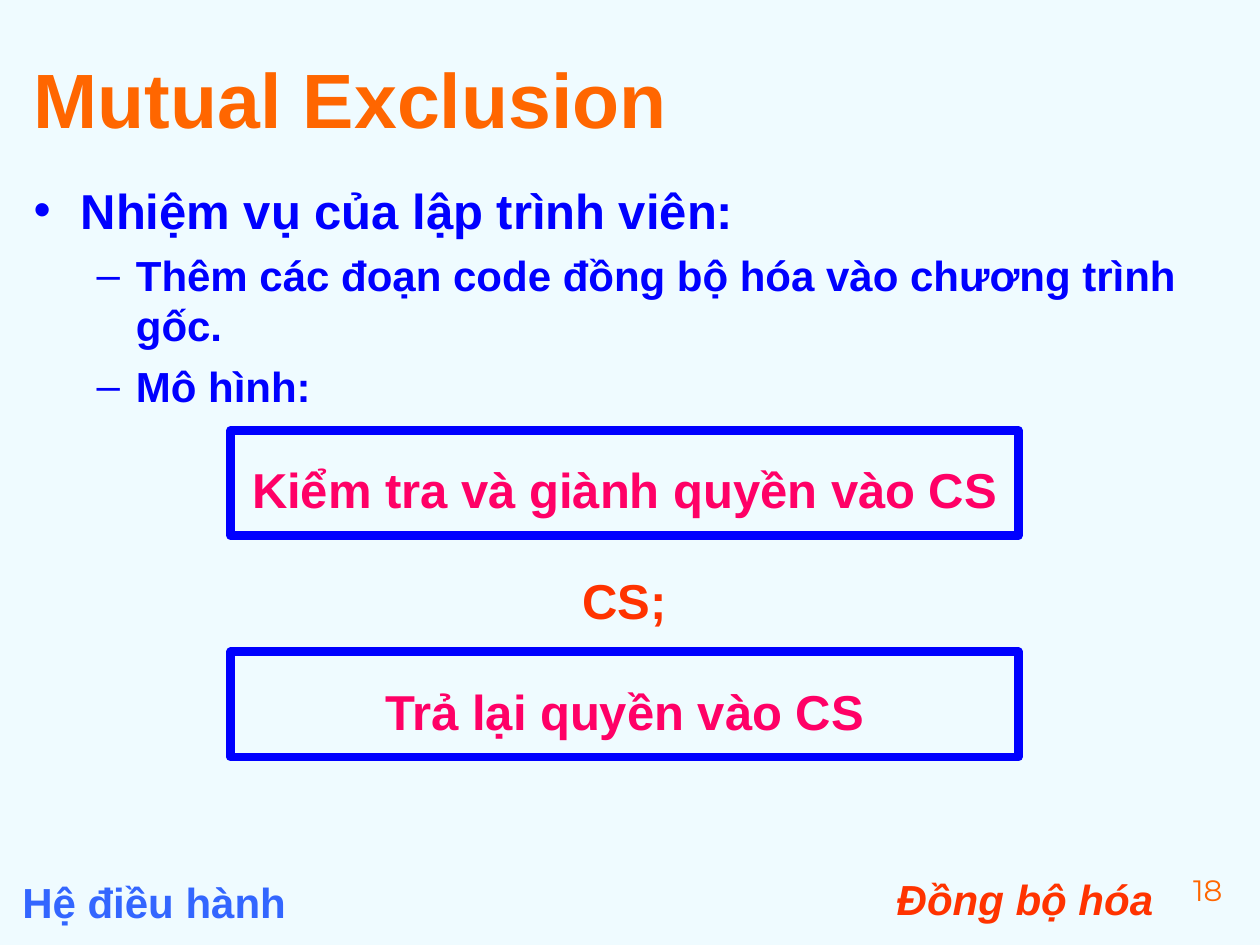
"""Build the Mutual Exclusion slide with its synchronization model."""
from dataclasses import dataclass
from typing import Any, Optional

import lxml.etree
import pptx
import pptx.dml.color
import pptx.enum.shapes
import pptx.enum.text
import pptx.oxml.ns
import pptx.util

Cm, Pt = pptx.util.Cm, pptx.util.Pt
ALIGN = pptx.enum.text.PP_ALIGN
ANCHOR = pptx.enum.text.MSO_ANCHOR
BLUE, ORANGE, RED, PINK, SKY = "0000FF", "FF6600", "FF3300", "FF0066", "3366FF"


@dataclass(frozen=True)
class Box:
    left: float
    top: float
    width: float
    height: float

    def lengths(self) -> tuple:
        return tuple(Cm(v) for v in (self.left, self.top, self.width, self.height))


@dataclass(frozen=True)
class Style:
    size: float
    color: str
    align: Any = ALIGN.LEFT
    name: str = "Arial"
    bold: bool = True
    italic: bool = False
    line_spacing: Optional[float] = None


@dataclass(frozen=True)
class Label:
    text: str
    box: Box
    style: Style


@dataclass(frozen=True)
class Bullet:
    text: str
    level: int
    size: float
    mark: str
    margin: float
    hanging: float
    space_before: float


@dataclass(frozen=True)
class Step:
    text: str
    color: str
    outlined: bool


LABELS = [
    Label("Đồng bộ hóa", Box(9.53, 17.48, 13.97, 1.32),
          Style(24, RED, ALIGN.RIGHT, italic=True)),
    Label("Hệ điều hành", Box(0.2, 17.53, 12.7, 0.89), Style(24, SKY)),
    Label("18", Box(23.5, 17.58, 1.7, 1.12),
          Style(16.8, ORANGE, ALIGN.CENTER, "Montserrat", False, line_spacing=0.8)),
]
BULLETS = [
    Bullet("Nhiệm vụ của lập trình viên:", 0, 28, "•", 0.95, 0.95, 0),
    Bullet("Thêm các đoạn code đồng bộ hóa vào chương trình gốc.",
           1, 24, "–", 2.06, 0.79, 6),
    Bullet("Mô hình:", 1, 24, "–", 2.06, 0.79, 6),
]
STEPS = [
    Step("Kiểm tra và giành quyền vào CS", PINK, True),
    Step("CS;", RED, False),
    Step("Trả lại quyền vào CS", PINK, True),
]
STEP_TOP, STEP_PITCH = 8.68, 2.23


def rgb(color: str) -> pptx.dml.color.RGBColor:
    """Turn a hex string into a colour."""
    return pptx.dml.color.RGBColor.from_string(color)


def apply(target: Any, values: dict) -> None:
    """Set every attribute named in the values."""
    for name, value in values.items():
        setattr(target, name, value)


def write(paragraph: Any, text: str, style: Style) -> None:
    """Put styled text into a paragraph."""
    run = paragraph.add_run()
    run.text = text
    apply(paragraph, {"alignment": style.align, "line_spacing": style.line_spacing})
    apply(run.font, {"name": style.name, "size": Pt(style.size),
                     "bold": style.bold, "italic": style.italic})
    run.font.color.rgb = rgb(style.color)


def frame_text(shape: Any, anchor: Any = ANCHOR.TOP, wrap: bool = True,
               margin_top: float = 0.13) -> Any:
    """Format the text frame of a shape and return it."""
    frame = shape.text_frame
    apply(frame, {"auto_size": pptx.enum.text.MSO_AUTO_SIZE.NONE, "word_wrap": wrap,
                  "vertical_anchor": anchor, "margin_top": Cm(margin_top),
                  "margin_bottom": Cm(0.13), "margin_left": Cm(0.25),
                  "margin_right": Cm(0.25)})
    return frame


def draw_label(slide: Any, label: Label) -> None:
    """Draw a one-line text box."""
    shape = slide.shapes.add_textbox(*label.box.lengths())
    write(frame_text(shape).paragraphs[0], label.text, label.style)


def draw_title(slide: Any, text: str, box: Box) -> None:
    """Place and format the title placeholder."""
    title = slide.shapes.title
    apply(title, dict(zip(("left", "top", "width", "height"), box.lengths())))
    write(frame_text(title, ANCHOR.MIDDLE).paragraphs[0], text, Style(44, ORANGE))


def add_mark(paragraph: Any, bullet: Bullet) -> None:
    """Give a paragraph its bullet and hanging indent."""
    properties = paragraph._p.get_or_add_pPr()
    properties.set("marL", str(Cm(bullet.margin)))
    properties.set("indent", str(-Cm(bullet.hanging)))
    qn = pptx.oxml.ns.qn
    color = lxml.etree.SubElement(properties, qn("a:buClr"))
    lxml.etree.SubElement(color, qn("a:srgbClr")).set("val", BLUE)
    lxml.etree.SubElement(properties, qn("a:buFont")).set("typeface", "Arial")
    lxml.etree.SubElement(properties, qn("a:buChar")).set("char", bullet.mark)


def draw_bullets(slide: Any, bullets: list[Bullet], box: Box) -> None:
    """Draw the bulleted body text."""
    frame = frame_text(slide.shapes.add_textbox(*box.lengths()))
    for index, bullet in enumerate(bullets):
        paragraph = frame.add_paragraph() if index else frame.paragraphs[0]
        add_mark(paragraph, bullet)
        apply(paragraph, {"level": bullet.level, "space_before": Pt(bullet.space_before)})
        write(paragraph, bullet.text, Style(bullet.size, BLUE))


def draw_step(slide: Any, step: Step, box: Box) -> None:
    """Draw one step of the model, outlined or plain."""
    if step.outlined:
        rectangle = pptx.enum.shapes.MSO_SHAPE.RECTANGLE
        shape = slide.shapes.add_shape(rectangle, *box.lengths())
        shape.shadow.inherit = False
        shape.fill.background()
        shape.line.color.rgb = rgb(BLUE)
        shape.line.width = Pt(5)
    else:
        shape = slide.shapes.add_textbox(*box.lengths())
    frame = frame_text(shape, ANCHOR.MIDDLE, wrap=False, margin_top=0.38)
    write(frame.paragraphs[0], step.text, Style(28, step.color, ALIGN.CENTER))


def main() -> None:
    """Build and save the presentation."""
    presentation = pptx.Presentation()
    apply(presentation, {"slide_width": Cm(25.4), "slide_height": Cm(19.05)})
    slide = presentation.slides.add_slide(presentation.slide_layouts[5])
    slide.background.fill.solid()
    slide.background.fill.fore_color.rgb = rgb("EFFBFF")
    draw_title(slide, "Mutual Exclusion", Box(0.43, 0.76, 24.74, 2.41))
    draw_bullets(slide, BULLETS, Box(0.43, 3.5, 24.66, 13.65))
    for label in LABELS:
        draw_label(slide, label)
    for index, step in enumerate(STEPS):
        draw_step(slide, step, Box(4.65, STEP_TOP + index * STEP_PITCH, 15.88, 2.12))
    presentation.save("out.pptx")


if __name__ == "__main__":
    main()
